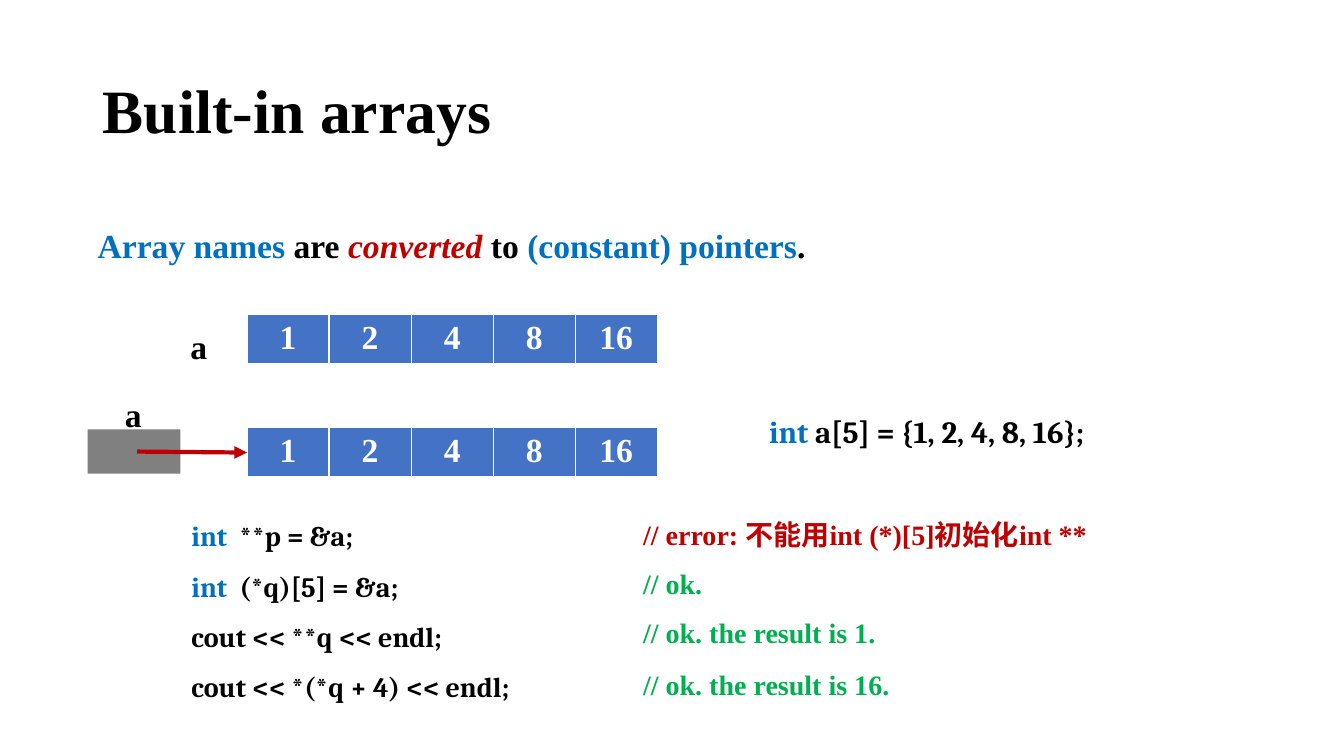
from lxml.etree import SubElement
from pptx import Presentation
from pptx.dml.color import RGBColor
from pptx.enum.shapes import MSO_CONNECTOR, MSO_SHAPE
from pptx.enum.text import MSO_ANCHOR, PP_ALIGN
from pptx.oxml.ns import qn
from pptx.util import Inches, Pt

BLACK = RGBColor(0x00, 0x00, 0x00)
WHITE = RGBColor(0xFF, 0xFF, 0xFF)
GRAY = RGBColor(0x80, 0x80, 0x80)
BLUE = RGBColor(0x00, 0x70, 0xC0)
CELL = RGBColor(0x44, 0x72, 0xC4)
RED = RGBColor(0xC0, 0x00, 0x00)
GREEN = RGBColor(0x00, 0xB0, 0x50)

SERIF = "Times New Roman"
CODE = "Cambria"
CHINESE = "Noto Sans CJK SC"
VALUES = ["1", "2", "4", "8", "16"]


def style(para, size, color, face=SERIF):
    font = para.font
    font.name, font.size, font.bold = face, Pt(size), True
    font.color.rgb = color


def add_text(slide, box, lines, size, color=BLACK, face=SERIF):
    """Place lines of runs; a run is (text, colour)."""
    frame = slide.shapes.add_textbox(*map(Inches, box)).text_frame
    frame.word_wrap = True
    for i, runs in enumerate(lines):
        para = frame.add_paragraph() if i else frame.paragraphs[0]
        para.alignment, para.line_spacing = PP_ALIGN.JUSTIFY, 1.5
        style(para, size, color, face)
        for text, tint in runs:
            run = para.add_run()
            run.text = text
            run.font.color.rgb = tint
    return frame


def add_title(slide, box):
    title = slide.shapes.title
    title.left, title.top, title.width, title.height = map(Inches, box)
    title.text_frame.text = "Built-in arrays"
    title.text_frame.vertical_anchor = MSO_ANCHOR.MIDDLE
    para = title.text_frame.paragraphs[0]
    para.alignment, para.line_spacing = PP_ALIGN.LEFT, 0.9
    style(para, 44, BLACK)


def add_claim(slide, box):
    runs = [("Array names", BLUE), (" are ", BLACK), ("converted", RED),
            (" to ", BLACK), ("(constant) pointers", BLUE), (".", BLACK)]
    frame = add_text(slide, box, [runs], 24)
    frame.paragraphs[0].runs[2].font.italic = True


def add_border(cell):
    props = cell._tc.get_or_add_tcPr()
    for side, width in (("L", 1), ("R", 1), ("T", 1), ("B", 3)):
        line = SubElement(props, qn(f"a:ln{side}"), w=str(Pt(width)))
        fill = SubElement(line, qn("a:solidFill"))
        SubElement(fill, qn("a:srgbClr"), val=str(WHITE))


def add_array(slide, left, top):
    wide, high = 4.07, 0.41
    table = slide.shapes.add_table(1, len(VALUES), *map(Inches, (left, top, wide, high))).table
    for col, value in enumerate(VALUES):
        table.columns[col].width = Inches(wide / len(VALUES))
        cell = table.cell(0, col)
        add_border(cell)
        cell.fill.solid()
        cell.fill.fore_color.rgb = CELL
        cell.text = value
        para = cell.text_frame.paragraphs[0]
        para.alignment = PP_ALIGN.CENTER
        style(para, 24, WHITE)


def add_name(slide, left, top):
    add_text(slide, (left, top, 0.44, 0.63), [[("a", BLACK)]], 24)


def add_pointer(slide, left, top, end):
    """Draw the pointer's box and its arrow, which ends at x = end."""
    wide, high = 0.92, 0.44
    rect = slide.shapes.add_shape(MSO_SHAPE.RECTANGLE, *map(Inches, (left, top, wide, high)))
    rect.shadow.inherit = False
    rect.fill.solid()
    rect.fill.fore_color.rgb = GRAY
    rect.line.fill.background()
    mid = top + high / 2
    arrow = slide.shapes.add_connector(
        MSO_CONNECTOR.STRAIGHT, *map(Inches, (left + 0.49, mid, end, mid + 0.01)))
    arrow.line.color.rgb = RED
    arrow.line.width = Pt(3)
    SubElement(arrow.line._get_or_add_ln(), qn("a:tailEnd"), type="triangle")
    SubElement(arrow._element.spPr, qn("a:effectLst"))


def add_arrays(slide, left, top):
    row = left + 1.58
    # The array under its own name
    add_name(slide, left + 0.92, top - 0.14)
    add_array(slide, row, top)
    # The array reached through a pointer
    add_name(slide, left + 0.27, top + 0.54)
    add_array(slide, row, top + 1.12)
    add_pointer(slide, left, top + 1.14, row)


def add_code(slide, left, top):
    lines = [
        [("int", BLUE), ("  **p = &a;", BLACK)],
        [("int", BLUE), ("  (*q)[5] = &a;", BLACK)],
        [("cout << **q << endl;", BLACK)],
        [("cout << *(*q + 4) << endl;", BLACK)],
    ]
    add_text(slide, (left, top, 4.12, 2.06), lines, 20, face=CODE)


def add_notes(slide, left, top):
    # The error, in two scripts
    parts = ["// error: ", "不能用", "int (*)[5]", "初始化", "int **"]
    frame = add_text(slide, (left, top, 5.09, 0.54), [[(part, RED) for part in parts]], 20, RED)
    for run in frame.paragraphs[0].runs[1::2]:
        run.font.name = CHINESE
        SubElement(run.font._element, qn("a:ea"), typeface=CHINESE)
    # The lines that compile
    for drop, wide, text in ((0.48, 2.04, "// ok."),
                             (0.97, 3.23, "// ok. the result is 1."),
                             (1.49, 3.23, "// ok. the result is 16.")):
        add_text(slide, (left, top + drop, wide, 0.55), [[(text, GREEN)]], 20, GREEN)


def main():
    deck = Presentation()
    deck.slide_width, deck.slide_height = Inches(13.33), Inches(7.5)
    slide = deck.slides.add_slide(deck.slide_layouts[5])
    add_title(slide, (0.92, 0.4, 11.5, 1.45))
    add_claim(slide, (0.87, 1.98, 7.28, 0.63))
    add_arrays(slide, 0.87, 3.12)
    # The declaration
    add_text(slide, (7.53, 3.86, 3.9, 0.59),
             [[("int", BLUE), (" a[5] = {1, 2, 4, 8, 16};", BLACK)]], 22, face=CODE)
    add_code(slide, 1.8, 4.93)
    add_notes(slide, 6.28, 4.92)
    deck.save("out.pptx")


if __name__ == "__main__":
    main()
